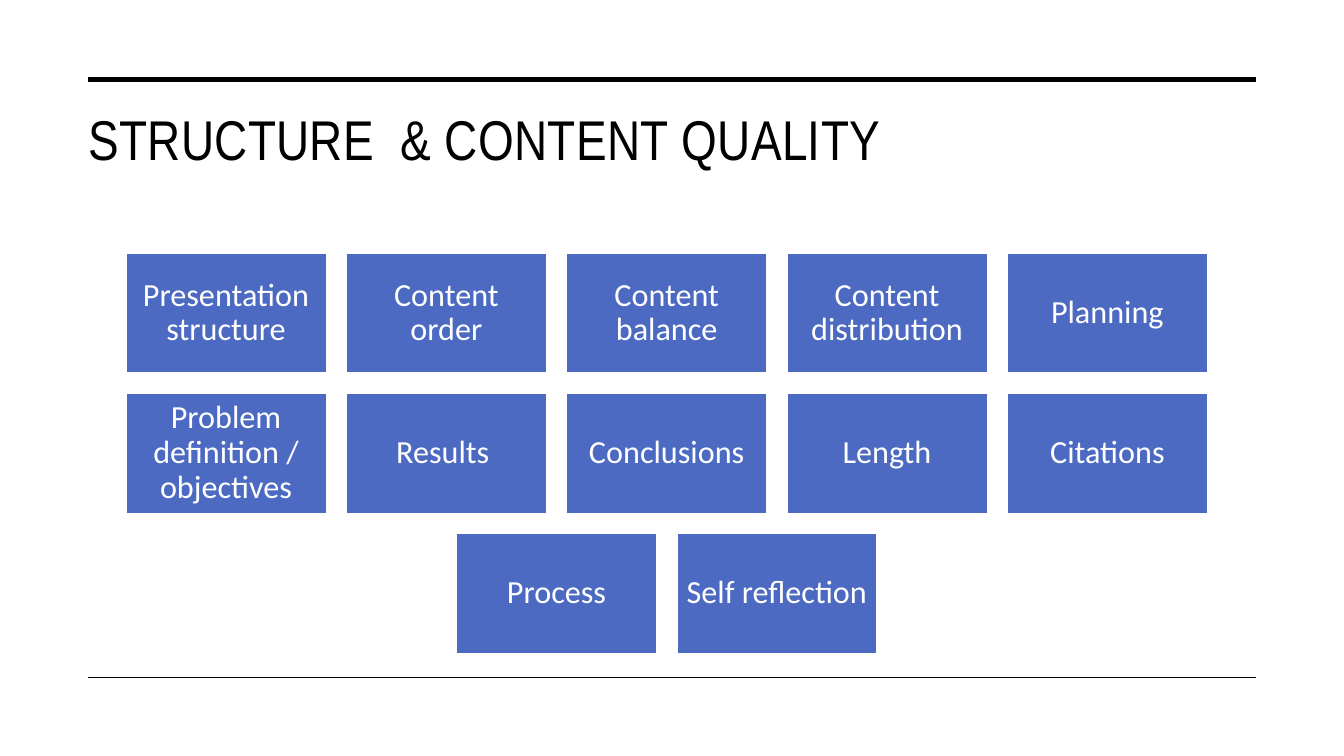
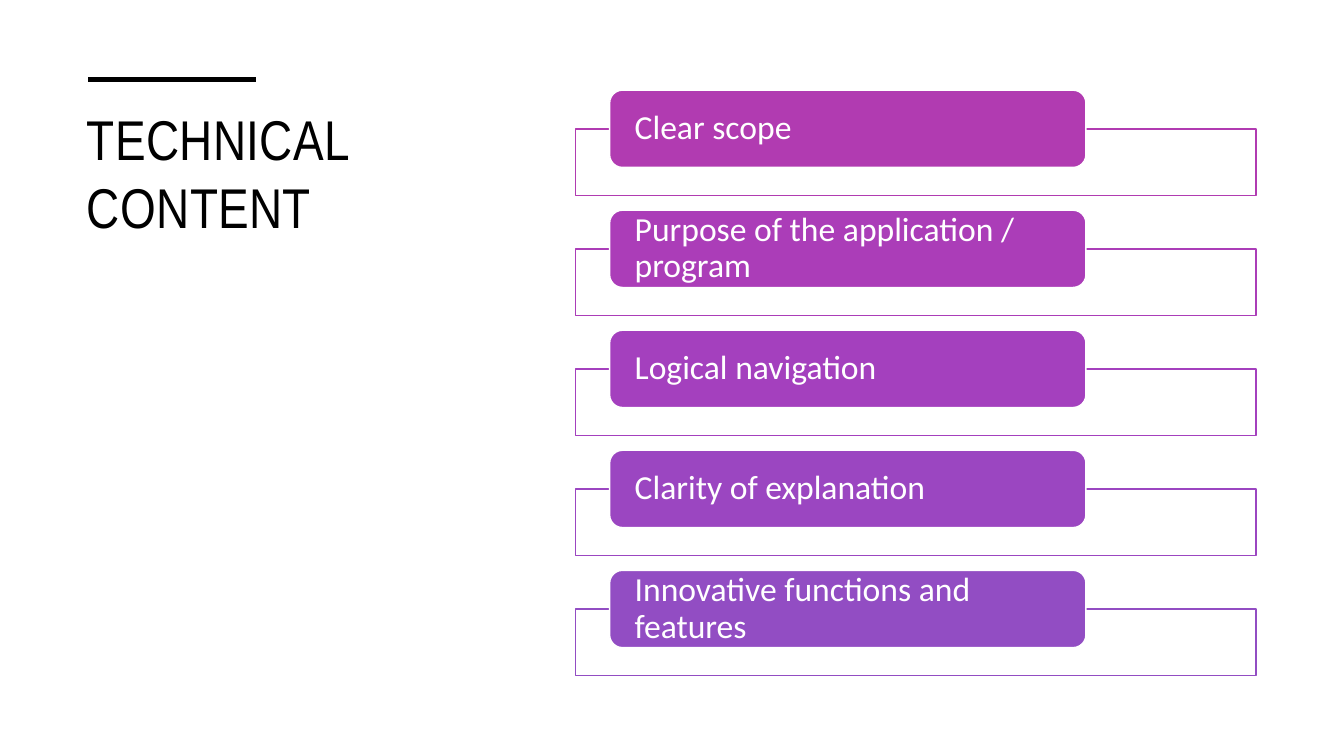
import pptx
import pptx.dml.color
import pptx.enum.shapes
import pptx.enum.text
import pptx.oxml
import pptx.oxml.ns
import pptx.util

Pt = pptx.util.Pt
qn = pptx.oxml.ns.qn
SHAPES = pptx.enum.shapes.MSO_SHAPE
ANCHOR = pptx.enum.text.MSO_ANCHOR
ALIGN = pptx.enum.text.PP_ALIGN

COLOURS = {
    "ink": "000000",
    "paper": "FFFFFF",
    "tile": "4D6AC3",
}
TITLE_FONT = {"name": "Arial Narrow", "size": Pt(40), "bold": False}
TILE_FONT = {"name": "Calibri", "size": Pt(23)}
TAB_FONT = {"name": "Calibri", "size": Pt(24)}
RULE_LEFT, RULE_RIGHT = 63.2, 897.2
RULE_TOP, RULE_BOTTOM = 56.9, 483.8

QUALITIES = [
    ["Presentation structure", "Content order", "Content balance",
     "Content distribution", "Planning"],
    ["Problem definition / objectives", "Results ", "Conclusions",
     "Length", "Citations"],
    ["Process", "Self reflection"],
]
TOPICS = [
    ("Clear scope", "B13BB1"),
    ("Purpose of the application / program", "AB3DB8"),
    ("Logical navigation", "A440BE"),
    ("Clarity of explanation", "9B46C1"),
    ("Innovative functions and features", "924DC3"),
]


def colour(value):
    """Turn a hex string into a colour."""
    return pptx.dml.color.RGBColor.from_string(value)


def apply_format(target, values):
    """Set each attribute named in values on the target."""
    for name, value in values.items():
        setattr(target, name, value)


def write(shape, text, font, ink, frame_format, para_format):
    """Put one formatted paragraph of text into a shape."""
    frame = shape.text_frame
    apply_format(frame, {"word_wrap": True, **frame_format})
    para = frame.paragraphs[0]
    apply_format(para, para_format)
    span = para.add_run()
    span.text = text
    apply_format(span.font, font)
    span.font.color.rgb = colour(ink)


def add_box(page, kind, place, fill, line):
    """Add a filled and outlined preset shape at a place in points."""
    box = page.shapes.add_shape(kind, *map(Pt, place))
    box.shadow.inherit = False
    box.fill.solid()
    box.fill.fore_color.rgb = colour(fill)
    box.line.color.rgb = colour(line)
    box.line.width = Pt(1)
    return box


def add_rule(page, right, y, width):
    """Draw a horizontal rule from the left margin."""
    rule = page.shapes.add_connector(
        pptx.enum.shapes.MSO_CONNECTOR.STRAIGHT,
        Pt(RULE_LEFT), Pt(y), Pt(right), Pt(y))
    rule.line.color.rgb = colour(COLOURS["ink"])
    rule.line.width = Pt(width)
    rule.element.spPr.append(pptx.oxml.parse_xml(
        '<a:effectLst xmlns:a='
        '"http://schemas.openxmlformats.org/drawingml/2006/main"/>'))


def add_page(deck, title, place, rule_right):
    """Add a slide with its title and the thick rule above it."""
    page = deck.slides.add_slide(deck.slide_layouts[5])
    box = page.shapes.title
    box.left, box.top, box.width, box.height = map(Pt, place)
    write(box, title, TITLE_FONT, COLOURS["ink"],
          {"vertical_anchor": ANCHOR.TOP,
           "auto_size": pptx.enum.text.MSO_AUTO_SIZE.NONE},
          {"alignment": ALIGN.LEFT})
    for properties in box.element.iter(qn("a:rPr")):
        properties.set("spc", "30")
    add_rule(page, rule_right, RULE_TOP, 3.5)
    return page


def add_tile_grid(page, left, top, width, rows):
    """Fill a width with rows of equal tiles, centring short rows."""
    columns = max(map(len, rows))
    tile_width = width / (columns + 0.1 * (columns - 1))
    tile_height = 0.6 * tile_width
    gap = 0.1 * tile_width
    margins = dict.fromkeys(
        ("margin_left", "margin_right", "margin_top", "margin_bottom"), Pt(7))
    for row, labels in enumerate(rows):
        indent = (columns - len(labels)) * (tile_width + gap) / 2
        for column, label in enumerate(labels):
            place = (left + indent + column * (tile_width + gap),
                     top + row * (tile_height + gap), tile_width, tile_height)
            tile = add_box(page, SHAPES.RECTANGLE, place,
                           COLOURS["tile"], COLOURS["paper"])
            write(tile, label, TILE_FONT, COLOURS["paper"],
                  {"vertical_anchor": ANCHOR.MIDDLE, **margins},
                  {"alignment": ALIGN.CENTER, "line_spacing": 0.9})


def add_topic_list(page, left, top, width, pitch, topics):
    """Stack outlined panels, each with a rounded tab on its top edge."""
    tab_height, panel_height = 55.2, 47.6
    frame_format = {"vertical_anchor": ANCHOR.MIDDLE,
                    "margin_left": Pt(15.2), "margin_right": Pt(15.2),
                    "margin_top": 0, "margin_bottom": 0}
    for index, (label, accent) in enumerate(topics):
        tab_top = top + index * pitch
        panel = add_box(page, SHAPES.RECTANGLE,
                        (left, tab_top + tab_height / 2, width, panel_height),
                        COLOURS["paper"], accent)
        fill = next(panel.element.iter(qn("a:srgbClr")))
        fill.append(pptx.oxml.parse_xml(
            '<a:alpha xmlns:a='
            '"http://schemas.openxmlformats.org/drawingml/2006/main"'
            ' val="90000"/>'))
        tab = add_box(page, SHAPES.ROUNDED_RECTANGLE,
                      (left + 0.05 * width, tab_top, 0.7 * width, tab_height),
                      accent, COLOURS["paper"])
        write(tab, label, TAB_FONT, COLOURS["paper"], frame_format,
              {"alignment": ALIGN.LEFT, "line_spacing": 0.9})


def build_quality_slide(deck):
    """Build the slide with the grid of quality criteria."""
    page = add_page(deck, "STRUCTURE  & CONTENT QUALITY",
                    (55.8, 71.3, 841.4, 90.7), RULE_RIGHT)
    add_rule(page, RULE_RIGHT, RULE_BOTTOM, 1)
    add_tile_grid(page, 90, 180.7, 772.6, QUALITIES)


def build_technical_slide(deck):
    """Build the slide with the list of technical topics."""
    page = add_page(deck, "TECHNICAL CONTENT", (54.9, 71.3, 308, 313), 182.9)
    add_topic_list(page, 411.2, 64.4, 486, 85.75, TOPICS)


def main():
    """Build and save the deck."""
    deck = pptx.Presentation()
    deck.slide_width, deck.slide_height = Pt(960), Pt(540)
    build_quality_slide(deck)
    build_technical_slide(deck)
    deck.save("out.pptx")


if __name__ == "__main__":
    main()
